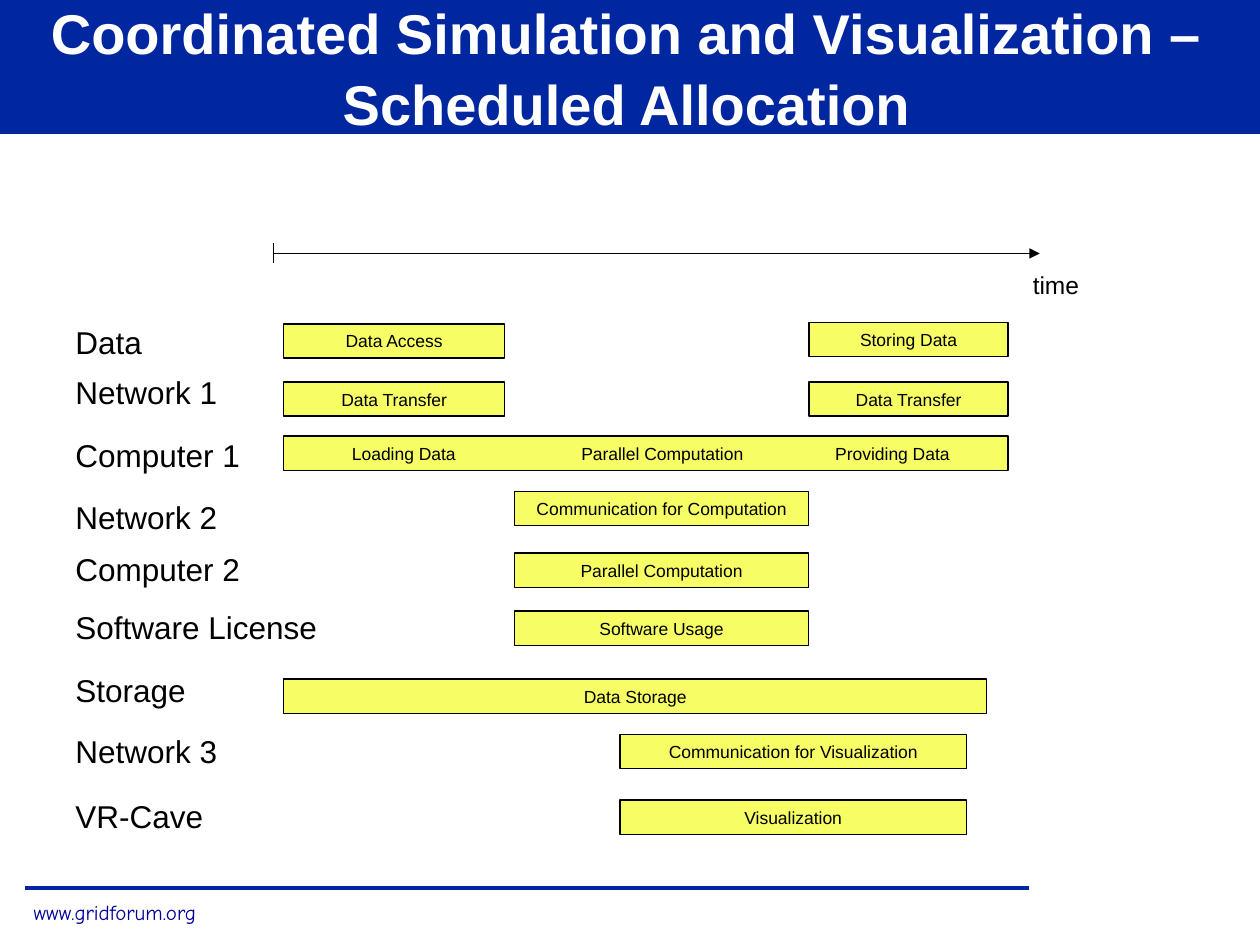
from lxml import etree
from pptx import Presentation
from pptx.dml.color import RGBColor
from pptx.enum.shapes import MSO_CONNECTOR as Link, MSO_SHAPE as Preset
from pptx.enum.text import MSO_ANCHOR as Anchor, PP_ALIGN as Align
from pptx.oxml.ns import qn
from pptx.util import Cm, Pt

COLORS = {"blue": "00279F", "link": "000099", "yellow": "F6FD65",
          "black": "000000", "white": "FFFFFF"}

deck = Presentation()
deck.slide_width, deck.slide_height = Cm(25.4), Cm(19.05)
page = deck.slides.add_slide(deck.slide_layouts[6])


def add_box(left, top, width, height, text, size, fill=None, color="black", font="Arial"):
    area = Cm(left), Cm(top), Cm(width), Cm(height)
    if fill:
        box = page.shapes.add_shape(Preset.RECTANGLE, *area)
        box.shadow.inherit = False
        box.fill.solid()
        box.fill.fore_color.rgb = RGBColor.from_string(COLORS[fill])
        box.line.fill.background()
        box.text_frame.vertical_anchor = Anchor.MIDDLE
    else:
        box = page.shapes.add_textbox(*area)
    box.text_frame.word_wrap = bool(fill)
    box.text_frame.text = text
    para = box.text_frame.paragraphs[0]
    para.alignment = Align.CENTER if fill else Align.LEFT
    for span in para.runs:
        span.font.name = font
        span.font.size = Pt(size)
        span.font.color.rgb = RGBColor.from_string(COLORS[color])
    return box


def add_line(x1, y1, x2, y2, color, weight):
    line = page.shapes.add_connector(Link.STRAIGHT, Cm(x1), Cm(y1), Cm(x2), Cm(y2))
    line.line.color.rgb = RGBColor.from_string(COLORS[color])
    line.line.width = Pt(weight)
    etree.SubElement(line._element.spPr, qn("a:effectLst"))
    return line


add_box(0, 0, 25.4, 2.7, "", 32, "blue")
add_line(0.51, 17.9, 20.75, 17.9, "blue", 2)
add_box(0.43, 18.01, 3.78, 0.76, "www.gridforum.org", 12, color="link", font="Comic Neue")

title = add_box(0, 0, 25.27, 2.65,
                "Coordinated Simulation and Visualization –\vScheduled Allocation",
                32, "blue", "white")
title_para = title.text_frame.paragraphs[0]
title_para.line_spacing = 1.06
for span in title_para.runs:
    span.font.bold = True

time_axis = add_line(5.51, 5.11, 20.96, 5.11, "black", 0.75)
etree.SubElement(time_axis.line._get_or_add_ln(), qn("a:tailEnd"), type="triangle")
add_line(5.51, 4.9, 5.51, 5.31, "black", 0.75)
add_box(20.57, 5.31, 1.45, 0.84, "time", 14)

resources = [
    ("Data", 6.38, 1.85), ("Network 1", 7.39, 3.38), ("Computer 1", 8.66, 3.84),
    ("Network 2", 9.91, 3.38), ("Computer 2", 10.97, 3.84),
    ("Software License", 12.14, 5.38), ("Storage", 13.41, 2.74),
    ("Network 3", 14.63, 3.38), ("VR-Cave", 15.95, 3.1),
]
for name, top, width in resources:
    add_box(1.27, top, width, 1.02, name, 18)

START, COMPUTE, VISUALIZE, FINISH = 5.72, 10.37, 12.5, 16.31
bookings = [
    ("Data Access", START, 6.53, 4.45), ("Storing Data", FINISH, 6.5, 4.01),
    ("Data Transfer", START, 7.7, 4.45), ("Data Transfer", FINISH, 7.7, 4.01),
    ("\tLoading Data\tParallel Computation\tProviding Data", START, 8.79, 14.6),
    ("Communication for Computation", COMPUTE, 9.91, 5.93),
    ("Parallel Computation", COMPUTE, 11.15, 5.93),
    ("Software Usage", COMPUTE, 12.32, 5.93),
    ("Data Storage", START, 13.69, 14.17),
    ("Communication for Visualization", VISUALIZE, 14.81, 6.98),
    ("Visualization", VISUALIZE, 16.13, 6.98),
]
for name, left, top, width in bookings:
    bar = add_box(left, top, width, 0.69, name, 10, "yellow")
    bar.line.color.rgb = RGBColor.from_string(COLORS["black"])
    bar.line.width = Pt(0.75)
    if "\t" in name:
        para = bar.text_frame.paragraphs[0]
        para.alignment = Align.LEFT
        tabs = etree.SubElement(para._p.get_or_add_pPr(), qn("a:tabLst"))
        for stop in (2.17, 7.38, 12.02):
            etree.SubElement(tabs, qn("a:tab"), pos=str(Cm(stop)), algn="ctr")

deck.save("out.pptx")
